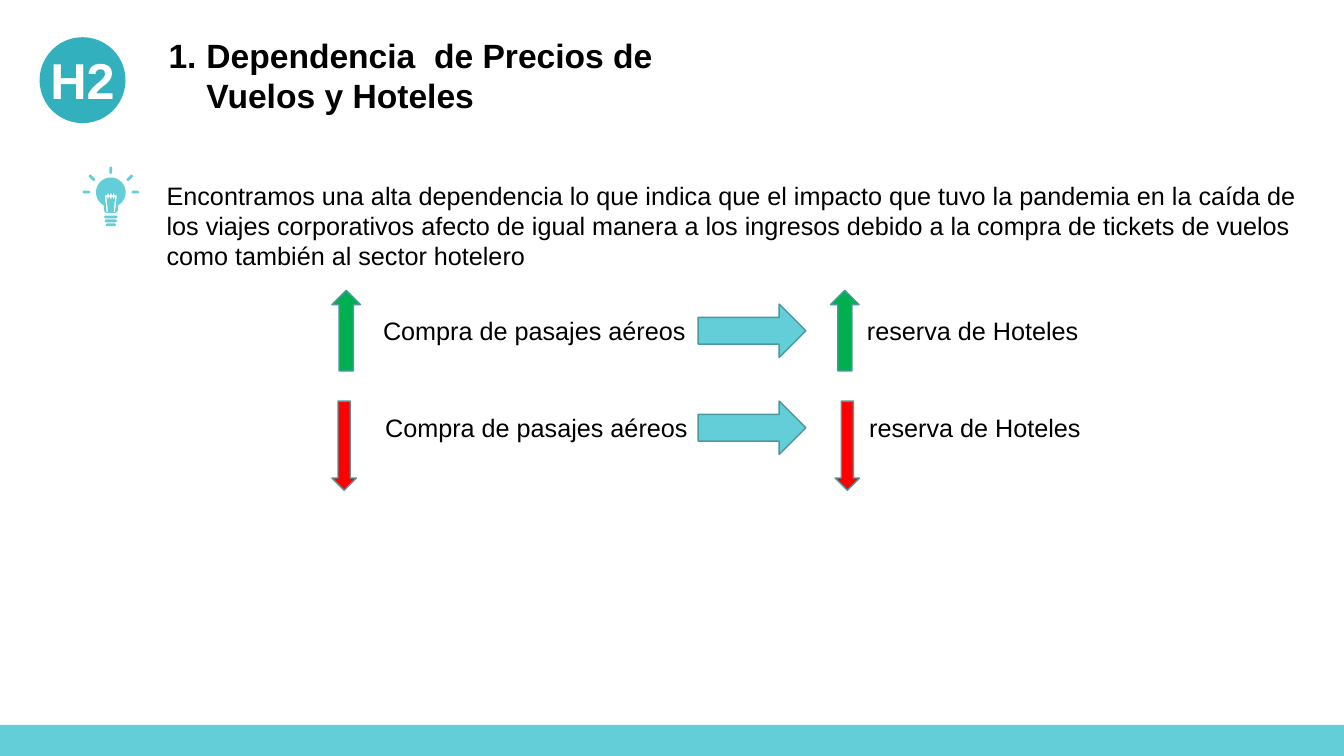
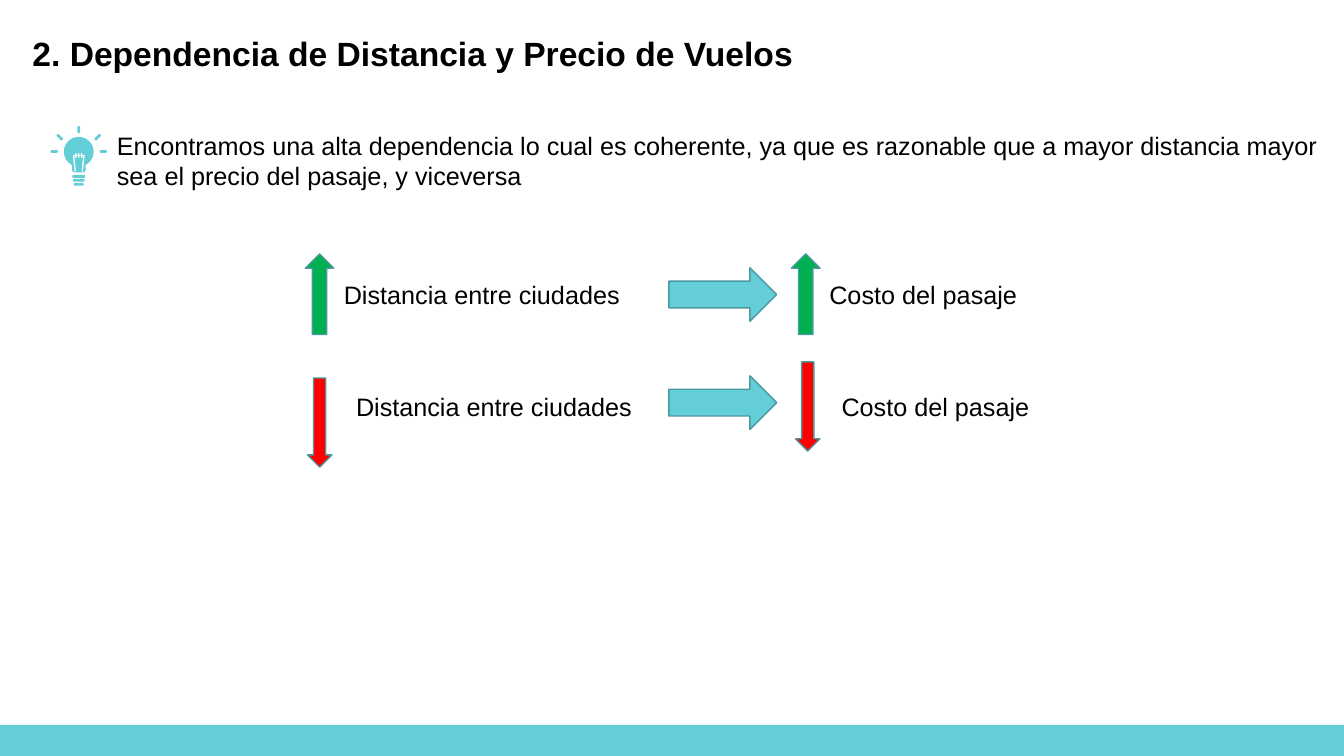
"""Build two slides on how travel prices depend on each other."""

import math

import lxml.etree
import pptx
import pptx.dml.color
import pptx.enum.shapes
import pptx.enum.text
import pptx.oxml.ns
import pptx.util

Pt = pptx.util.Pt
RGBColor = pptx.dml.color.RGBColor
Preset = pptx.enum.shapes.MSO_SHAPE
Align = pptx.enum.text.PP_ALIGN
Anchor = pptx.enum.text.MSO_ANCHOR

AQUA = RGBColor(0x64, 0xCE, 0xD8)
TEAL = RGBColor(0x32, 0xB0, 0xBE)
OUTLINE = RGBColor(0x4A, 0x98, 0xA0)
GREEN = RGBColor(0x00, 0xB0, 0x50)
RED = RGBColor(0xFF, 0x00, 0x00)
BLACK = RGBColor(0x00, 0x00, 0x00)
WHITE = RGBColor(0xFF, 0xFF, 0xFF)

FONT = "Arial"
SLIDE_WIDTH, SLIDE_HEIGHT = 960, 540
BAND_HEIGHT = 22.3
ARROWS = {
    "up": (Preset.UP_ARROW, 20.4, 57.6, GREEN),
    "down": (Preset.DOWN_ARROW, 17.5, 63.7, RED),
    "implies": (Preset.RIGHT_ARROW, 77, 38.2, AQUA),
}


def place(shape, left, top, width, height):
    """Move and size a shape, in points."""
    shape.left, shape.top = Pt(left), Pt(top)
    shape.width, shape.height = Pt(width), Pt(height)


def write(shape, text, size, color=BLACK, bold=False, align=Align.LEFT, anchor=Anchor.TOP):
    """Fill a shape with one formatted paragraph and return it."""
    frame = shape.text_frame
    frame.text = text
    frame.word_wrap = True
    frame.auto_size = pptx.enum.text.MSO_AUTO_SIZE.NONE
    frame.vertical_anchor = anchor
    paragraph = frame.paragraphs[0]
    paragraph.alignment = align
    paragraph.space_before = Pt(0)
    font = paragraph.runs[0].font
    font.name, font.size, font.bold = FONT, Pt(size), bold
    font.color.rgb = color
    return paragraph


def set_bullet(paragraph, tag, indent=0, **attributes):
    """Give a paragraph a bullet kind and a hanging indent."""
    properties = paragraph._p.get_or_add_pPr()
    properties.set("marL", str(Pt(indent)))
    properties.set("indent", str(-Pt(indent)))
    lxml.etree.SubElement(properties, pptx.oxml.ns.qn(tag), **attributes)


def paint(shape, fill, line=None):
    """Give a shape a flat fill and an optional thin outline."""
    shape.shadow.inherit = False
    shape.fill.solid()
    shape.fill.fore_color.rgb = fill
    if line is None:
        shape.line.fill.background()
    else:
        shape.line.color.rgb = line
        shape.line.width = Pt(1)


def add_preset(slide, preset, left, top, width, height, fill, line=None):
    """Add a painted preset shape."""
    shape = slide.shapes.add_shape(preset, Pt(left), Pt(top), Pt(width), Pt(height))
    paint(shape, fill, line)
    return shape


def add_master_band(presentation, slide):
    """Put the bottom band on the slide master."""
    band = add_preset(slide, Preset.RECTANGLE, 0, SLIDE_HEIGHT - BAND_HEIGHT,
                      SLIDE_WIDTH, BAND_HEIGHT, AQUA)
    band.element.nvSpPr.cNvPr.set("id", "100")
    presentation.slide_master.element.cSld.spTree.insert(2, band.element)


def add_content_slide(presentation, title, title_box, body, body_box):
    """Add a slide with its title and explanation."""
    slide = presentation.slides.add_slide(presentation.slide_layouts[1])
    place(slide.shapes.title, *title_box)
    write(slide.shapes.title, title, 24, bold=True)
    explanation = slide.placeholders[1]
    place(explanation, *body_box)
    set_bullet(write(explanation, body, 18), "a:buNone")
    return slide


def add_badge(slide, text):
    """Add the round hypothesis badge."""
    badge = add_preset(slide, Preset.OVAL, 28.3, 26.6, 61.4, 61.4, TEAL)
    write(badge, text, 36, WHITE, True, Align.CENTER, Anchor.MIDDLE)
    frame = badge.text_frame
    frame.word_wrap = False
    frame.margin_left = frame.margin_right = Pt(0)
    frame.margin_bottom = Pt(5)


def arc(x, y, radius, start, end, step):
    """List the points of an arc, with angles in degrees."""
    return [(x + radius * math.cos(math.radians(angle)),
             y + radius * math.sin(math.radians(angle)))
            for angle in range(start, end + 1, step)]


def capsule(x, y, length, angle, radius=1):
    """List the outline of a round-ended bar centred on a point."""
    reach = length / 2 - radius
    dx = reach * math.cos(math.radians(angle))
    dy = reach * math.sin(math.radians(angle))
    return (arc(x + dx, y + dy, radius, angle - 90, angle + 90, 30)
            + arc(x - dx, y - dy, radius, angle + 90, angle + 270, 30))


def filament_outline():
    """List the outline of the filament, with its three coils."""
    upper = [(x + side, y) for x in (-2, 0, 2)
             for side, y in ((-0.5, 20.6), (-0.5, 19.4), (0.5, 19.4), (0.5, 20.6))]
    lower = [(x, 42.2 - y) for x, y in reversed(upper)]
    return [(-3, 32.6), (-4.3, 20.6), *upper, (4.3, 20.6), (3, 32.6),
            (2, 32.6), (3.1, 21.6), *lower, (-3.1, 21.6), (-2, 32.6)]


def add_bulb(slide, center, top):
    """Add the light bulb icon as one outline with a cut-out filament."""
    glass = arc(0, 18.4, 10.6, 118, 422, 8)
    neck = [(5, 31), (4.4, 32.5), (3, 33.1), (-3, 33.1), (-4.4, 32.5), (-5, 31)]
    bars = [(0, 36, 9.4, 0), (0, 38.8, 8.6, 0), (0, 41.6, 7.2, 0),
            (0, 2.6, 5.2, 90), (-13.5, 8, 5.6, 45), (13.5, 8, 5.6, 315),
            (-17.5, 18.2, 5.2, 0), (17.5, 18.2, 5.2, 0)]
    contours = [glass + neck, filament_outline(), *(capsule(*bar) for bar in bars)]
    points = [[(Pt(center + x), Pt(top + y)) for x, y in contour] for contour in contours]
    builder = slide.shapes.build_freeform(*points[0][0], scale=1.0)
    for index, contour in enumerate(points):
        if index:
            builder.move_to(*contour[0])
        builder.add_line_segments(contour[1:], close=True)
    paint(builder.convert_to_shape(), AQUA)


def add_arrow(slide, kind, left, top):
    """Add one of the three kinds of block arrow."""
    preset, width, height, fill = ARROWS[kind]
    add_preset(slide, preset, left, top, width, height, fill, OUTLINE)


def add_relation(slide, trend, label_top, implies_at, cause, effect):
    """Add a row: a trend and its cause imply a trend and its effect."""
    for text, label_left, arrow_left, arrow_top in (cause, effect):
        label = slide.shapes.add_textbox(Pt(label_left), Pt(label_top), Pt(240), Pt(29))
        write(label, text, 18)
        add_arrow(slide, trend, arrow_left, arrow_top)
    add_arrow(slide, "implies", *implies_at)


def main():
    """Build and save the presentation."""
    presentation = pptx.Presentation()
    presentation.slide_width, presentation.slide_height = Pt(SLIDE_WIDTH), Pt(SLIDE_HEIGHT)

    hotels = add_content_slide(
        presentation, "Dependencia  de Precios de Vuelos y Hoteles", (113.2, 21.3, 402, 66),
        "Encontramos una alta dependencia lo que indica que el impacto que tuvo la pandemia "
        "en la caída de los viajes corporativos afecto de igual manera a los ingresos debido "
        "a la compra de tickets de vuelos como también al sector hotelero",
        (111.8, 125, 835, 73))
    set_bullet(hotels.shapes.title.text_frame.paragraphs[0], "a:buAutoNum", 27,
               type="arabicPeriod")
    add_master_band(presentation, hotels)
    add_badge(hotels, "H2")
    add_bulb(hotels, 79.2, 119)
    purchase, booking = "Compra de pasajes aéreos", "reserva de Hoteles"
    add_relation(hotels, "up", 221.8, (498.7, 217.2),
                 (purchase, 266.5, 237.1, 207.4), (booking, 612.2, 593.3, 207.4))
    add_relation(hotels, "down", 291, (498.7, 286.5),
                 (purchase, 268, 237.1, 286.5), (booking, 613.8, 596.5, 286.5))

    distances = add_content_slide(
        presentation, "2. Dependencia de Distancia y Precio de Vuelos", (16, 20.2, 600, 36),
        "Encontramos una alta dependencia lo cual es coherente, ya que es razonable que a "
        "mayor distancia mayor sea el precio del pasaje, y viceversa",
        (76.3, 89.6, 880, 51))
    add_bulb(distances, 56.3, 90)
    distance, cost = "Distancia entre ciudades", "Costo del pasaje"
    add_relation(distances, "up", 196, (477.8, 191.3),
                 (distance, 238.5, 218.1, 181.4), (cost, 585.3, 565.3, 181.4))
    add_relation(distances, "down", 276, (477.8, 268.5),
                 (distance, 247.2, 219.6, 270), (cost, 594, 568.2, 258.5))

    presentation.save("out.pptx")


if __name__ == "__main__":
    main()
